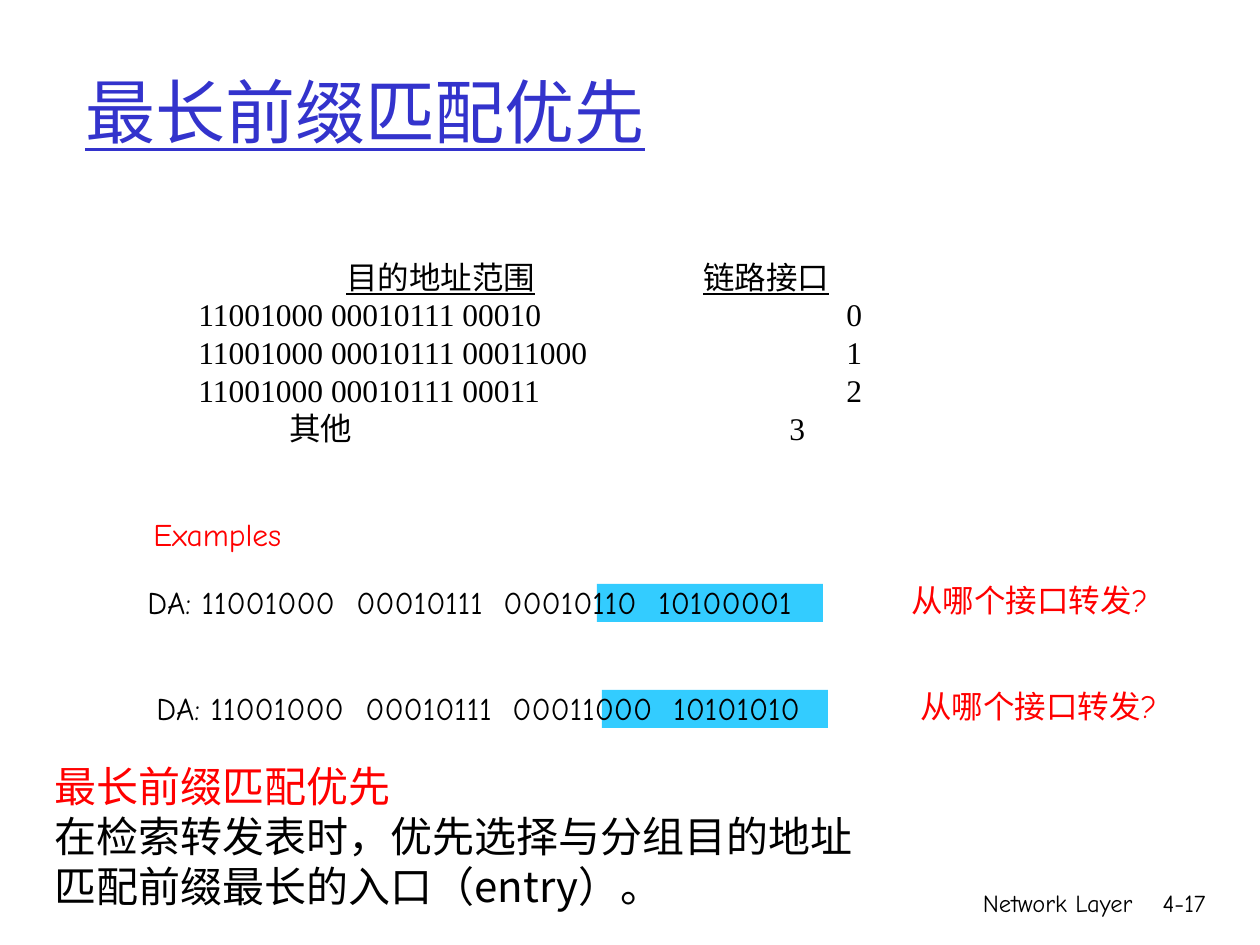
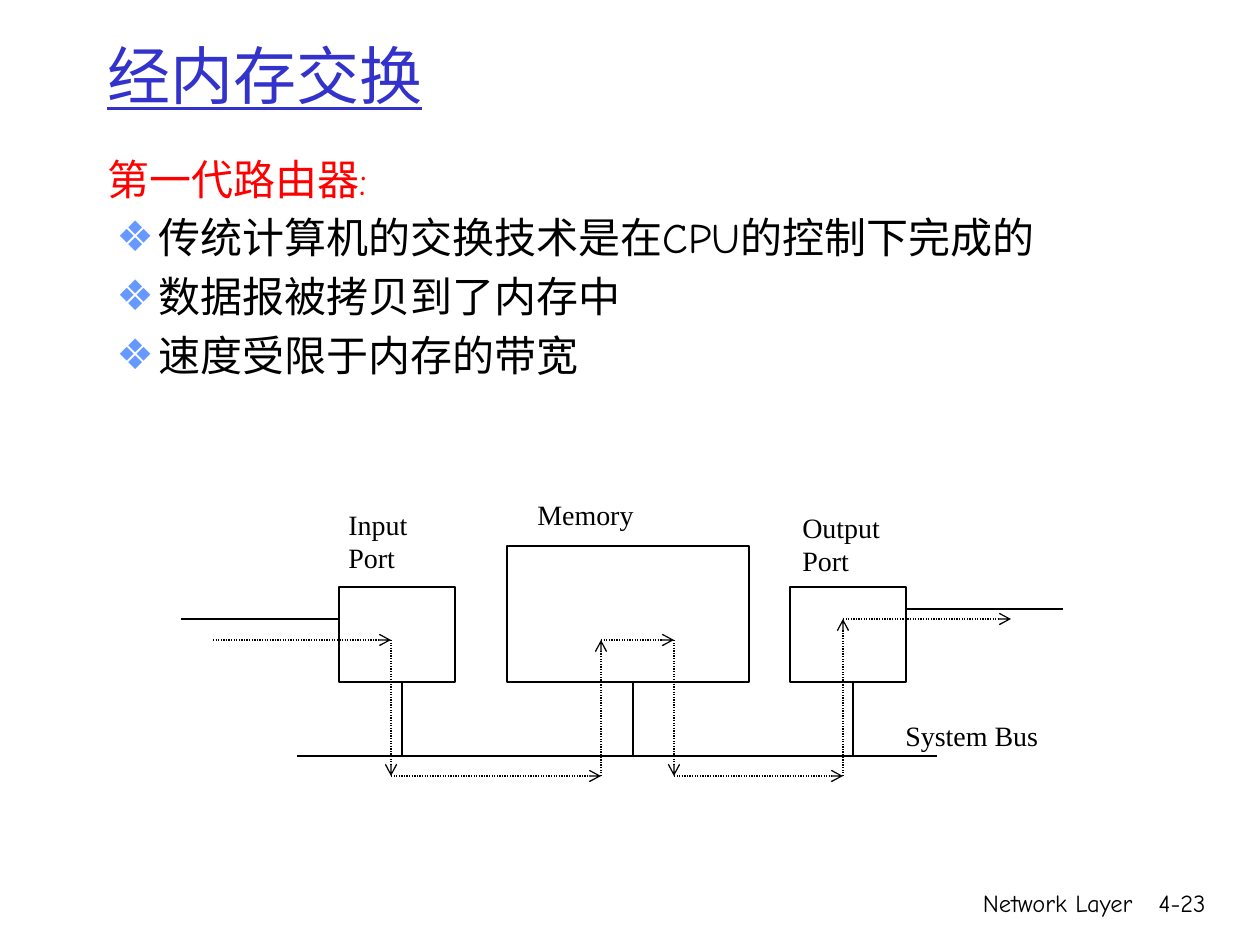
from collections import namedtuple
from dataclasses import dataclass
from itertools import pairwise

from lxml.etree import SubElement
from pptx import Presentation
from pptx.dml.color import RGBColor
from pptx.enum.dml import MSO_LINE_DASH_STYLE as Dash
from pptx.enum.shapes import MSO_CONNECTOR as Connector
from pptx.enum.shapes import MSO_SHAPE as Shape
from pptx.enum.text import MSO_ANCHOR as Anchor
from pptx.enum.text import PP_ALIGN as Align
from pptx.oxml.ns import qn
from pptx.util import Emu, Pt

EMU_PER_PX = 914400 / 126
Box = namedtuple("Box", "left top width height")


@dataclass(frozen=True)
class Theme:
    ink: str = "000000"
    title: str = "3333CC"
    accent: str = "FF0000"
    bullet: str = "6699FF"
    highlight: str = "33CCFF"
    hand: str = "Comic Neue"
    serif: str = "Times New Roman"
    cjk: str = "Noto Sans CJK SC"
    symbol: str = "Arial"
    footer_size: int = 14
    label_size: int = 16
    text_size: int = 18
    body_size: int = 24
    line_width: float = 0.75


THEME = Theme()


def px(length):
    return Emu(round(length * EMU_PER_PX))


def inside(box, left, top, width, height):
    return Box(box.left + left, box.top + top, width, height)


def add_tabs(paragraph, stops):
    tab_list = SubElement(paragraph._p.get_or_add_pPr(), qn("a:tabLst"))
    for stop in stops:
        SubElement(tab_list, qn("a:tab"), pos=str(px(stop)), algn="l")


def add_bullet(paragraph, margin, hang):
    properties = paragraph._p.get_or_add_pPr()
    properties.set("marL", str(px(margin)))
    properties.set("indent", str(px(-hang)))
    color = SubElement(properties, qn("a:buClr"))
    SubElement(color, qn("a:srgbClr"), val=THEME.bullet)
    SubElement(properties, qn("a:buFont"), typeface=THEME.symbol)
    SubElement(properties, qn("a:buChar"), char="❖")


def style(paragraph, size, name=THEME.hand, color=THEME.ink, underline=None):
    font = paragraph.font
    font.size = Pt(size)
    font.name = name
    font.color.rgb = RGBColor.from_string(color)
    font.underline = underline


def add_frame(slide, box, anchor=Anchor.TOP):
    frame = slide.shapes.add_textbox(*map(px, box)).text_frame
    frame.word_wrap = True
    frame.vertical_anchor = anchor
    return frame


def add_text(slide, box, text, size, align=Align.LEFT, anchor=Anchor.TOP, **look):
    frame = add_frame(slide, box, anchor)
    frame.text = text
    for paragraph in frame.paragraphs:
        paragraph.alignment = align
        style(paragraph, size, **look)
    return frame


def add_rectangle(slide, box, fill=None):
    rectangle = slide.shapes.add_shape(Shape.RECTANGLE, *map(px, box))
    rectangle.shadow.inherit = False
    if fill:
        rectangle.fill.solid()
        rectangle.fill.fore_color.rgb = RGBColor.from_string(fill)
        rectangle.line.fill.background()
    else:
        rectangle.fill.background()
        rectangle.line.color.rgb = RGBColor.from_string(THEME.ink)
        rectangle.line.width = Pt(THEME.line_width)


def add_line(slide, box, start, end, is_flow=False):
    points = [px(value) for x, y in (start, end) for value in (box.left + x, box.top + y)]
    connector = slide.shapes.add_connector(Connector.STRAIGHT, *points)
    connector.line.color.rgb = RGBColor.from_string(THEME.ink)
    connector.line.width = Pt(THEME.line_width)
    if is_flow:
        connector.line.dash_style = Dash.ROUND_DOT
        SubElement(connector.line._get_or_add_ln(), qn("a:tailEnd"), type="arrow")
    SubElement(connector._element.spPr, qn("a:effectLst"))


def add_base(presentation, title, title_box, title_size, number):
    slide = presentation.slides.add_slide(presentation.slide_layouts[6])
    add_text(slide, Box(746, 882, 399, 63), "Network Layer", THEME.footer_size, Align.RIGHT)
    add_text(slide, Box(1125, 882, 93, 63), number, THEME.footer_size, Align.RIGHT)
    add_text(slide, title_box, title, title_size, anchor=Anchor.MIDDLE,
             color=THEME.title, underline=True)
    return slide


def add_forwarding_table(slide, box):
    rows = [
        ("目的地址范围", "链路接口", (228, 585)),
        ("11001000 00010111 00010", "0", (80, 728)),
        ("11001000 00010111 00011000", "1", (80, 728)),
        ("11001000 00010111 00011", "2", (80, 728)),
        ("其他", "3", (171, 671)),
    ]
    frame = add_frame(slide, box, Anchor.MIDDLE)
    for index, (addresses, interface, stops) in enumerate(rows):
        paragraph = frame.add_paragraph() if index else frame.paragraphs[0]
        add_tabs(paragraph, stops)
        style(paragraph, THEME.text_size, THEME.serif)
        for value in (addresses, interface):
            paragraph.add_run().text = "\t"
            run = paragraph.add_run()
            run.text = value
            if index == 0:
                run.font.underline = True


def add_address_example(slide, box, address, last_stop, highlight_left):
    add_rectangle(slide, inside(box, highlight_left, 7, 226, 38), THEME.highlight)
    frame = add_frame(slide, box)
    paragraph = frame.paragraphs[0]
    paragraph.text = "DA: " + "\t".join(address.split())
    add_tabs(paragraph, (209, 356, last_stop))
    style(paragraph, THEME.text_size)
    add_text(slide, inside(box, 764, -2, 250, 88), "从哪个接口转发?",
             THEME.text_size, color=THEME.accent)


def add_matching_rule(slide, box):
    frame = add_text(
        slide, box,
        "最长前缀匹配优先\n在检索转发表时，优先选择与分组目的地址匹配前缀最长的入口（entry）。",
        THEME.body_size, name=THEME.cjk)
    frame.paragraphs[0].font.color.rgb = RGBColor.from_string(THEME.accent)


def build_prefix_slide(presentation):
    slide = add_base(presentation, "最长前缀匹配优先", Box(73, 32, 1071, 158), 40, "4-17")
    add_forwarding_table(slide, Box(106, 242, 848, 220))
    add_text(slide, Box(141, 509, 163, 50), "Examples", THEME.text_size, color=THEME.accent)
    add_address_example(slide, Box(135, 577, 732, 50),
                        "11001000 00010111 00010110 10100001", 511, 462)
    add_address_example(slide, Box(144, 683, 732, 50),
                        "11001000 00010111 00011000 10101010", 517, 458)
    add_matching_rule(slide, Box(42, 754, 848, 166))


def add_router_points(slide, box):
    points = [
        "第一代路由器:",
        "传统计算机的交换技术是在CPU的控制下完成的",
        "数据报被拷贝到了内存中",
        "速度受限于内存的带宽",
    ]
    frame = add_frame(slide, box)
    frame.text = "\n".join(points)
    heading, *bullets = frame.paragraphs
    style(heading, THEME.body_size, color=THEME.accent)
    for paragraph in bullets:
        paragraph.space_before = Pt(4.8)
        add_bullet(paragraph, margin=51, hang=42)
        style(paragraph, THEME.body_size)


def add_bus_diagram(slide, box):
    port_top, port_width, port_height, floor, bus = 96, 116, 95, 191, 265
    input_left, output_left = 158, 609
    for left in (input_left, output_left):
        add_rectangle(slide, inside(box, left, port_top, port_width, port_height))
    add_rectangle(slide, inside(box, 326, 55, 242, 136))

    add_line(slide, box, (116, bus), (756, bus))
    for drop in (221, 452, 672):
        add_line(slide, box, (drop, floor), (drop, bus))
    add_line(slide, box, (input_left, 128), (0, 128))
    add_line(slide, box, (box.width, 118), (output_left + port_width, 118))

    entry, below, leaving = 149, 285, 128
    route = [(32, entry), (210, entry), (210, below), (420, below), (420, entry),
             (493, entry), (493, below), (662, below), (662, leaving), (830, leaving)]
    for start, end in pairwise(route):
        add_line(slide, box, start, end, is_flow=True)

    labels = [
        ("Input\nPort", (155, 10, 96, 81)),
        ("Output\nPort", (609, 13, 115, 81)),
        ("Memory", (344, 0, 134, 47)),
        ("System Bus", (712, 221, 170, 47)),
    ]
    for text, place in labels:
        add_text(slide, inside(box, *place), text, THEME.label_size, name=THEME.serif)


def build_memory_slide(presentation):
    slide = add_base(presentation, "经内存交换", Box(95, 32, 1071, 84), 36, "4-23")
    add_router_points(slide, Box(95, 147, 1081, 239))
    add_bus_diagram(slide, Box(181, 491, 882, 285))


def main():
    presentation = Presentation()
    presentation.slide_width = px(1260)
    presentation.slide_height = px(945)
    build_prefix_slide(presentation)
    build_memory_slide(presentation)
    presentation.save("out.pptx")


if __name__ == "__main__":
    main()
